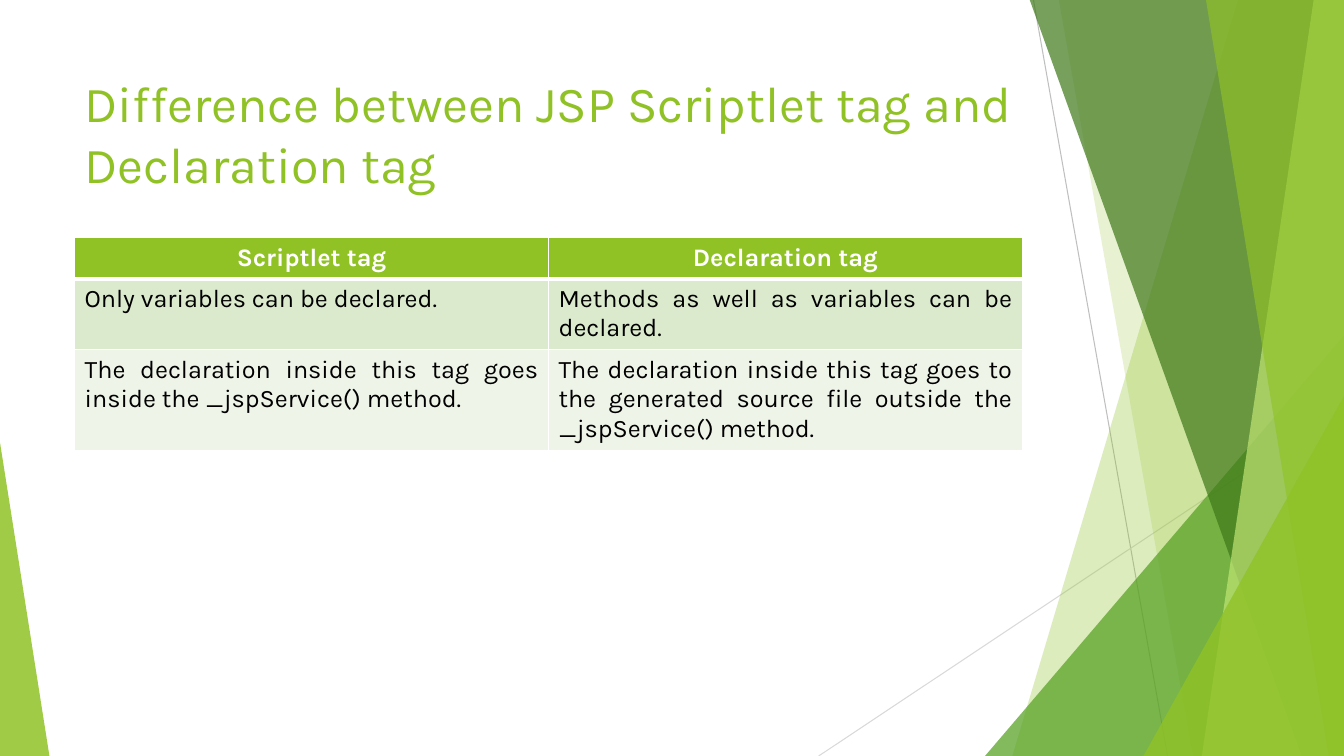
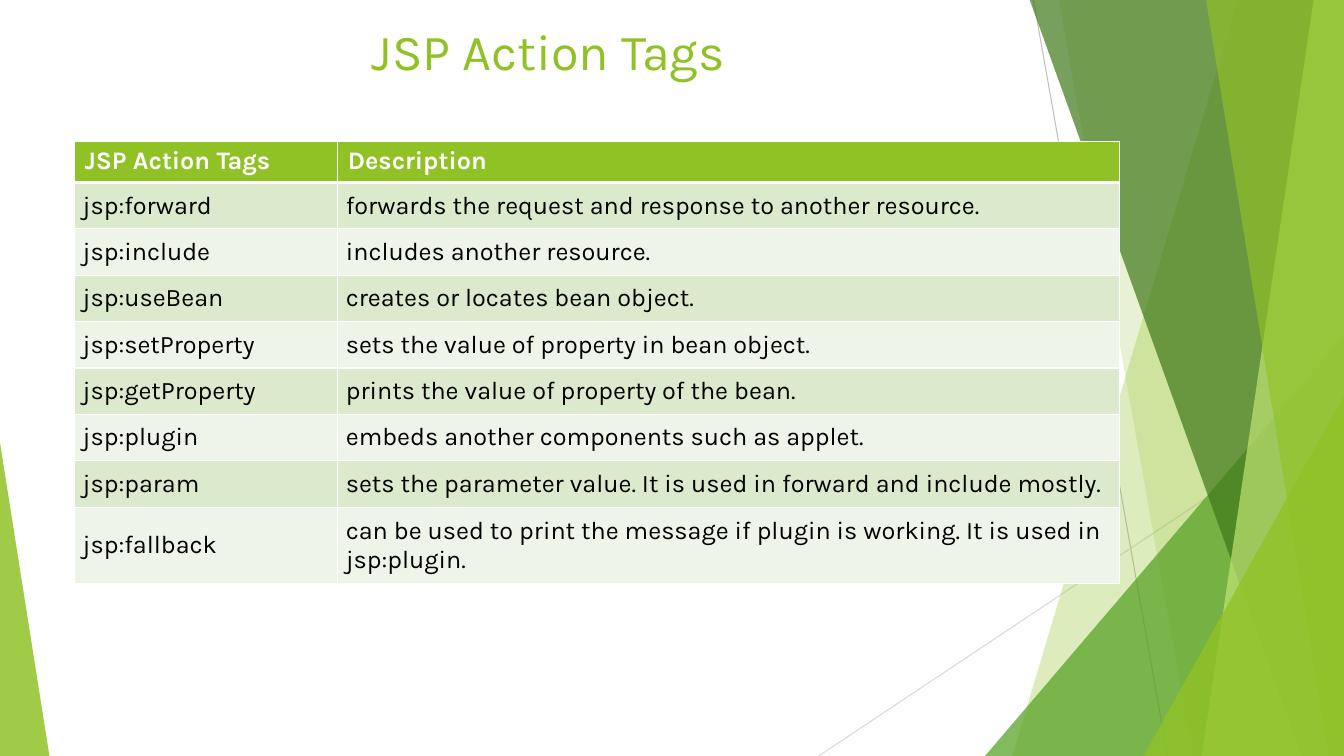
from lxml import etree
from pptx import Presentation
from pptx.dml.color import RGBColor
from pptx.enum.shapes import MSO_CONNECTOR, MSO_SHAPE
from pptx.enum.text import MSO_ANCHOR, PP_ALIGN
from pptx.oxml.ns import qn
from pptx.util import Pt

PX = 9144  # one hundred px to the inch
SLIDE_WIDTH, SLIDE_HEIGHT = 1333, 750
LEFT_MARGIN = 74
CONTENT_WIDTH = 940
BAND_TOP = -1
ROW_HEIGHT = 41
FONT = "Karla"

WHITE = RGBColor(0xFF, 0xFF, 0xFF)
BLACK = RGBColor(0x00, 0x00, 0x00)
LIME = RGBColor(0x90, 0xC2, 0x26)
PALE_LIME = RGBColor(0xC0, 0xE4, 0x74)
GREEN = RGBColor(0x54, 0xA0, 0x21)
DARK_GREEN = RGBColor(0x3F, 0x78, 0x19)
ROW_FILLS = (RGBColor(0xDB, 0xE9, 0xCD), RGBColor(0xEE, 0xF4, 0xE8))
GREY = RGBColor(0xBF, 0xBF, 0xBF)
LIGHT_GREY = RGBColor(0xD9, 0xD9, 0xD9)

LEFT, CENTER, JUSTIFY = PP_ALIGN.LEFT, PP_ALIGN.CENTER, PP_ALIGN.JUSTIFY
TOP, MIDDLE = MSO_ANCHOR.TOP, MSO_ANCHOR.MIDDLE
TRIANGLE = MSO_SHAPE.ISOSCELES_TRIANGLE
STRAIGHT = MSO_CONNECTOR.STRAIGHT

TITLE_FORMAT = {"name": FONT, "size": Pt(36), "bold": False}
HEADER_FORMAT = {"name": FONT, "size": Pt(18), "bold": True}
BODY_FORMAT = {"name": FONT, "size": Pt(18), "bold": False}

DIFFERENCE_ROWS = [
    ("Scriptlet tag", "Declaration tag"),
    ("Only variables can be declared.",
     "Methods as well as variables can be declared."),
    ("The declaration inside this tag goes inside the _jspService() method.",
     "The declaration inside this tag goes to the generated source file "
     "outside the _jspService() method."),
]
ACTION_ROWS = [
    ("JSP Action Tags", "Description"),
    ("jsp:forward", "forwards the request and response to another resource."),
    ("jsp:include", "includes another resource."),
    ("jsp:useBean", "creates or locates bean object."),
    ("jsp:setProperty", "sets the value of property in bean object."),
    ("jsp:getProperty", "prints the value of property of the bean."),
    ("jsp:plugin", "embeds another components such as applet."),
    ("jsp:param",
     "sets the parameter value. It is used in forward and include mostly."),
    ("jsp:fallback",
     "can be used to print the message if plugin is working. "
     "It is used in jsp:plugin."),
]


def emu(*lengths):
    return [length * PX for length in lengths]


def fill_translucent(shape, color, opacity):
    """Fill without outline or shadow; opacity is in percent."""
    shape.shadow.inherit = False
    shape.line.fill.background()
    shape.fill.solid()
    shape.fill.fore_color.rgb = color
    color_element = shape.fill._xPr.find(".//" + qn("a:srgbClr"))
    etree.SubElement(color_element, qn("a:alpha"), val=str(opacity * 1000))


def add_line(slide, start, end, color):
    line = slide.shapes.add_connector(STRAIGHT, *emu(*start, *end))
    line.line.color.rgb = color
    line.line.width = Pt(0.75)
    etree.SubElement(line._element.spPr, qn("a:effectLst"))


def add_band(slide, top_left, bottom_left, color, opacity):
    """Fill from a slanted left edge to the right edge of the slide."""
    builder = slide.shapes.build_freeform(top_left, BAND_TOP, scale=PX)
    builder.add_line_segments([
        (SLIDE_WIDTH, BAND_TOP),
        (SLIDE_WIDTH, SLIDE_HEIGHT),
        (bottom_left, SLIDE_HEIGHT),
    ])
    fill_translucent(builder.convert_to_shape(), color, opacity)


def add_corner(slide, left, top, width, apex, color, opacity):
    """Triangle standing on the bottom edge; apex is 0 (left) to 1 (right)."""
    shape = slide.shapes.add_shape(
        TRIANGLE, *emu(left, top, width, SLIDE_HEIGHT - top))
    shape.adjustments[0] = apex
    fill_translucent(shape, color, opacity)


def add_backdrop(slide):
    add_line(slide, (1025, 0), (1158, SLIDE_HEIGHT), GREY)
    add_line(slide, (SLIDE_WIDTH, 403), (812, SLIDE_HEIGHT), LIGHT_GREY)
    add_band(slide, 1228, 1004, LIME, 30)
    add_band(slide, 1050, 1183, LIME, 20)
    add_corner(slide, 977, 333, 356, 1, GREEN, 72)
    add_band(slide, 1021, 1291, DARK_GREEN, 70)
    add_band(slide, 1303, 1192, PALE_LIME, 70)
    add_band(slide, 1196, 1318, LIME, 65)
    add_corner(slide, 1134, 393, 199, 1, LIME, 80)
    add_corner(slide, 0, 439, 49, 0, LIME, 85)


def write_text(text_frame, text, alignment, color, font_format):
    paragraph = text_frame.paragraphs[0]
    paragraph.alignment = alignment
    run = paragraph.add_run()
    run.text = text
    run.font.color.rgb = color
    for name, value in font_format.items():
        setattr(run.font, name, value)


def add_title(slide, text, top, height, alignment):
    box = slide.shapes.add_textbox(
        *emu(LEFT_MARGIN, top, CONTENT_WIDTH, height))
    box.text_frame.word_wrap = True
    box.text_frame.vertical_anchor = TOP
    write_text(box.text_frame, text, alignment, LIME, TITLE_FORMAT)


def set_borders(cell, top_width, bottom_width):
    """Draw white borders; the side ones are 1 pt wide."""
    widths = {"lnL": 1, "lnR": 1, "lnT": top_width, "lnB": bottom_width}
    properties = cell._tc.get_or_add_tcPr()
    for index, (side, width) in enumerate(widths.items()):
        border = etree.Element(qn("a:" + side), w=str(Pt(width)))
        fill = etree.SubElement(border, qn("a:solidFill"))
        etree.SubElement(fill, qn("a:srgbClr"), val=str(WHITE))
        properties.insert(index, border)


def add_table(slide, rows, top, column_widths, header_alignment,
              body_alignment, body_cell_format):
    frame = slide.shapes.add_table(
        len(rows), len(column_widths),
        *emu(LEFT_MARGIN, top, sum(column_widths), ROW_HEIGHT * len(rows)))
    table = frame.table
    for column, width in zip(table.columns, column_widths):
        column.width = width * PX
    for row_index, texts in enumerate(rows):
        is_header = row_index == 0
        for column_index, text in enumerate(texts):
            cell = table.cell(row_index, column_index)
            cell.fill.solid()
            if is_header:
                cell.fill.fore_color.rgb = LIME
                write_text(cell.text_frame, text, header_alignment, WHITE,
                           HEADER_FORMAT)
            else:
                cell.fill.fore_color.rgb = ROW_FILLS[(row_index - 1) % 2]
                write_text(cell.text_frame, text, body_alignment, BLACK,
                           BODY_FORMAT)
                for name, value in body_cell_format.items():
                    setattr(cell, name, value)
            set_borders(cell, 3 if row_index == 1 else 1,
                        3 if is_header else 1)


def add_slide(presentation):
    slide = presentation.slides.add_slide(presentation.slide_layouts[6])
    add_backdrop(slide)
    return slide


def main():
    presentation = Presentation()
    presentation.slide_width, presentation.slide_height = emu(
        SLIDE_WIDTH, SLIDE_HEIGHT)

    slide = add_slide(presentation)
    add_title(slide,
              "Difference between JSP Scriptlet tag and Declaration tag",
              67, 144, LEFT)
    add_table(slide, DIFFERENCE_ROWS, 236, (470, 470), CENTER, JUSTIFY, {})

    slide = add_slide(presentation)
    add_title(slide, "JSP Action Tags", 15, 85, CENTER)
    padding = {"margin_" + side: 8 * PX
               for side in ("left", "right", "top", "bottom")}
    add_table(slide, ACTION_ROWS, 140, (261, 775), LEFT, LEFT,
              {"vertical_anchor": MIDDLE, **padding})

    presentation.save("out.pptx")


if __name__ == "__main__":
    main()
